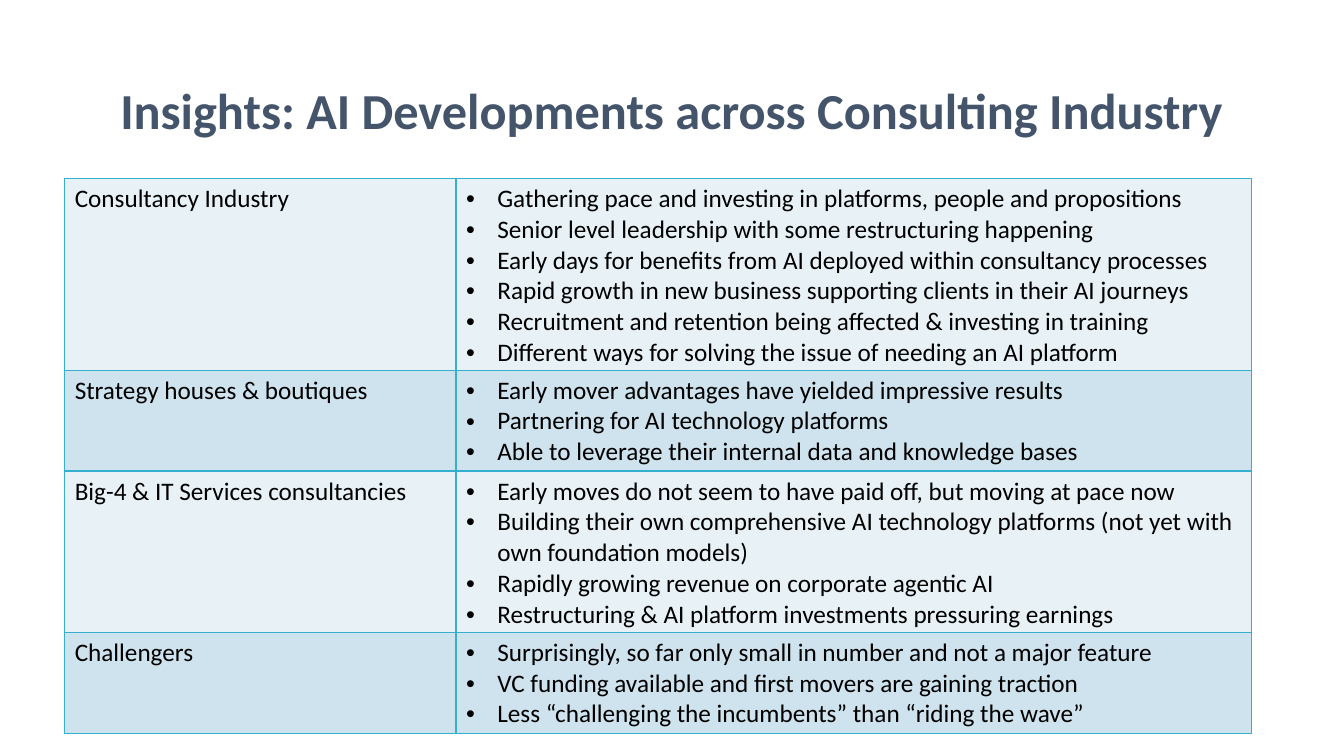
import pptx
import pptx.util
import pptx.enum.text
import pptx.dml.color
import pptx.oxml
import pptx.oxml.ns
from dataclasses import dataclass

Cm = pptx.util.Cm
Pt = pptx.util.Pt


@dataclass(frozen=True)
class Theme:
    font: str = "Calibri"
    title: str = "44546A"
    text: str = "000000"
    edge: str = "36AFCE"
    bands: tuple = ("E8F2F6", "CEE3ED")
    head: int = 36
    body: int = 18


theme = Theme()

# Each row: label, number of text lines, bullet points
rows = [
    ("Consultancy Industry", 6, [
        "Gathering pace and investing in platforms, people and propositions",
        "Senior level leadership with some restructuring happening",
        "Early days for benefits from AI deployed within consultancy processes",
        "Rapid growth in new business supporting clients in their AI journeys",
        "Recruitment and retention being affected & investing in training",
        "Different ways for solving the issue of needing an AI platform",
    ]),
    ("Strategy houses & boutiques", 3, [
        "Early mover advantages have yielded impressive results",
        "Partnering for AI technology platforms",
        "Able to leverage their internal data and knowledge bases",
    ]),
    ("Big-4 & IT Services consultancies", 5, [
        "Early moves do not seem to have paid off, but moving at pace now",
        "Building their own comprehensive AI technology platforms "
        "(not yet with own foundation models)",
        "Rapidly growing revenue on corporate agentic AI",
        "Restructuring & AI platform investments pressuring earnings",
    ]),
    ("Challengers", 3, [
        "Surprisingly, so far only small in number and not a major feature",
        "VC funding available and first movers are gaining traction",
        "Less “challenging the incumbents” than “riding the wave”",
    ]),
]


def style(para, size, color, bold=False):
    for run in para.runs:
        run.font.name = theme.font
        run.font.size = Pt(size)
        run.font.bold = bold
        run.font.color.rgb = pptx.dml.color.RGBColor.from_string(color)


def add_xml(parent, xml):
    """Append an XML fragment whose root declares the drawing namespace."""
    space = pptx.oxml.ns.nsdecls("a")
    parent.append(pptx.oxml.parse_xml(xml.replace(" ", f" {space} ", 1)))


deck = pptx.Presentation()
deck.slide_width = Cm(33.87)
deck.slide_height = Cm(19.05)
slide = deck.slides.add_slide(deck.slide_layouts[6])

# Title
box = slide.shapes.add_textbox(Cm(2.33), Cm(1.01), Cm(29.21), Cm(3.68))
frame = box.text_frame
frame.word_wrap = True
frame.vertical_anchor = pptx.enum.text.MSO_ANCHOR.MIDDLE
frame.text = "Insights: AI Developments across Consulting Industry"
para = frame.paragraphs[0]
para.alignment = pptx.enum.text.PP_ALIGN.CENTER
para.line_spacing = 0.9
style(para, theme.head, theme.title, True)

# Table
grid = slide.shapes.add_table(len(rows), 2, Cm(1.63), Cm(4.5), Cm(29.9), Cm(13.92)).table
grid.first_row = False
grid.columns[0].width = Cm(9.86)
grid.columns[1].width = Cm(20.04)

for i, (label, lines, points) in enumerate(rows):
    grid.rows[i].height = Cm(0.76 * lines + 0.25)
    left, right = grid.cell(i, 0), grid.cell(i, 1)
    left.text_frame.text = label
    right.text_frame.text = "\n".join(points)

    for para in right.text_frame.paragraphs:
        props = para._p.get_or_add_pPr()
        props.set("marL", str(Cm(0.79)))
        props.set("indent", str(-Cm(0.79)))
        add_xml(props, '<a:buFont typeface="Arial"/>')
        add_xml(props, '<a:buChar char="•"/>')

    for cell in (left, right):
        for para in cell.text_frame.paragraphs:
            style(para, theme.body, theme.text)
        props = cell._tc.get_or_add_tcPr()
        for side in "LRTB":
            add_xml(props, f'<a:ln{side} w="{Pt(1)}"><a:solidFill>'
                           f'<a:srgbClr val="{theme.edge}"/></a:solidFill></a:ln{side}>')
        cell.fill.solid()
        cell.fill.fore_color.rgb = pptx.dml.color.RGBColor.from_string(theme.bands[i % 2])

deck.save("out.pptx")
